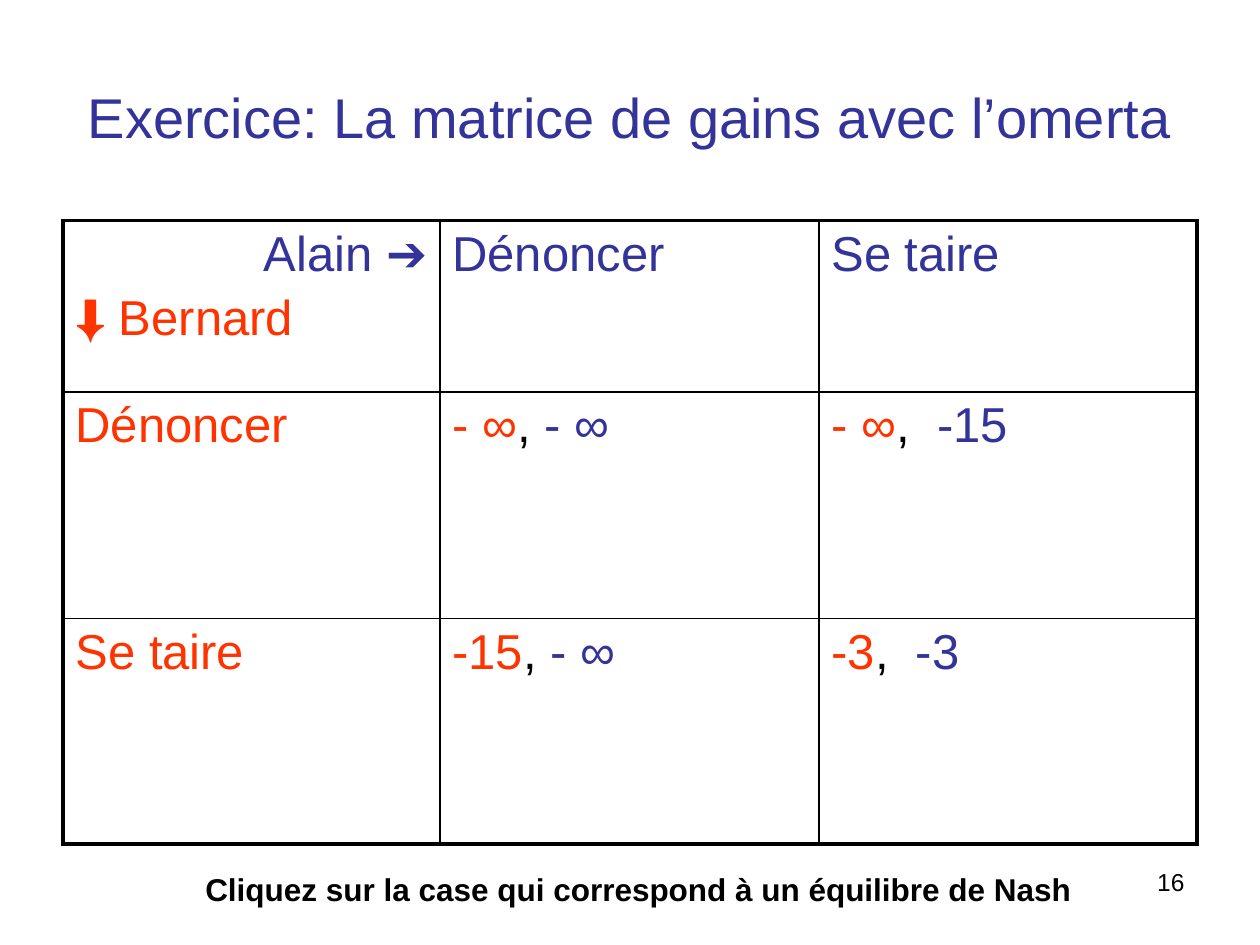
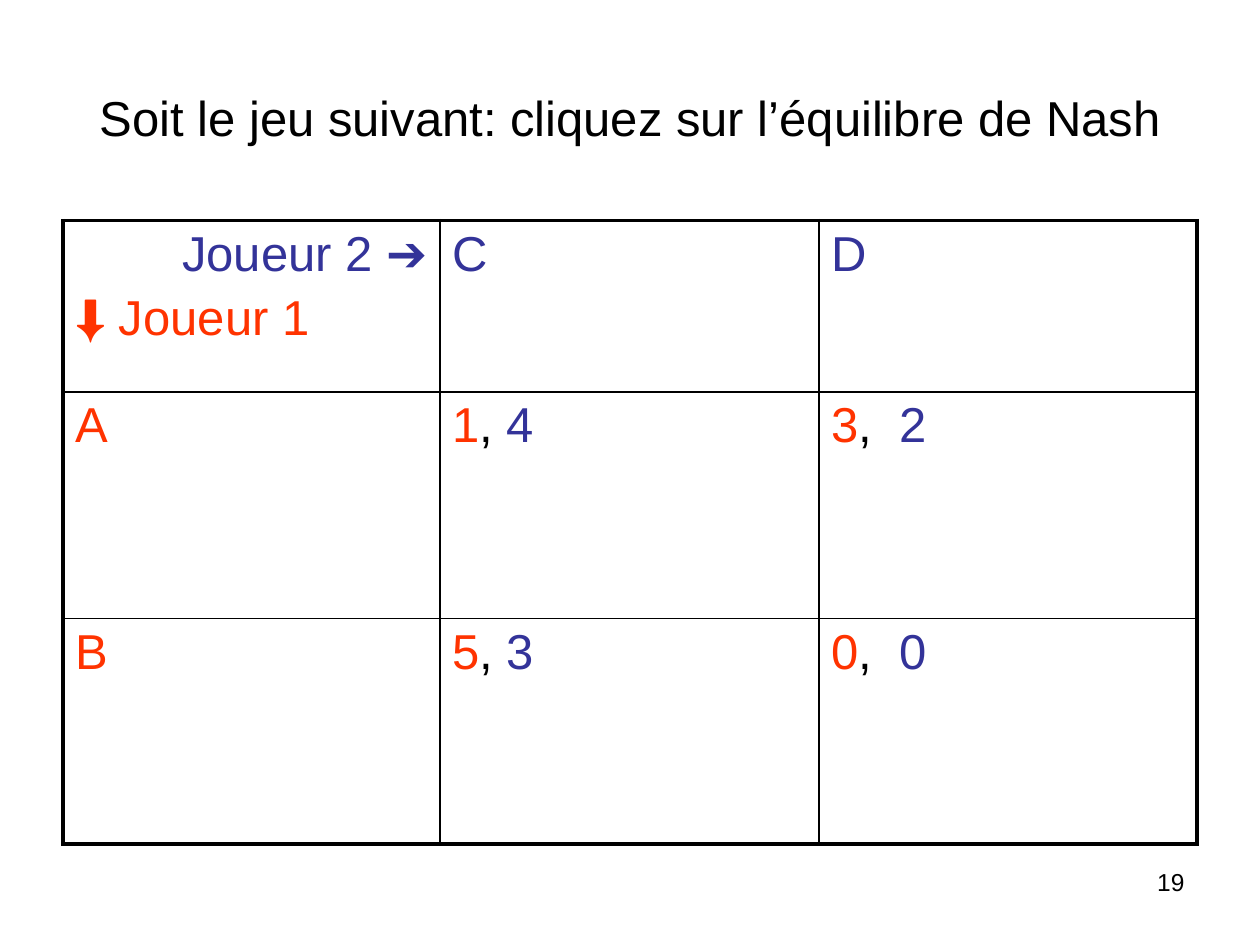
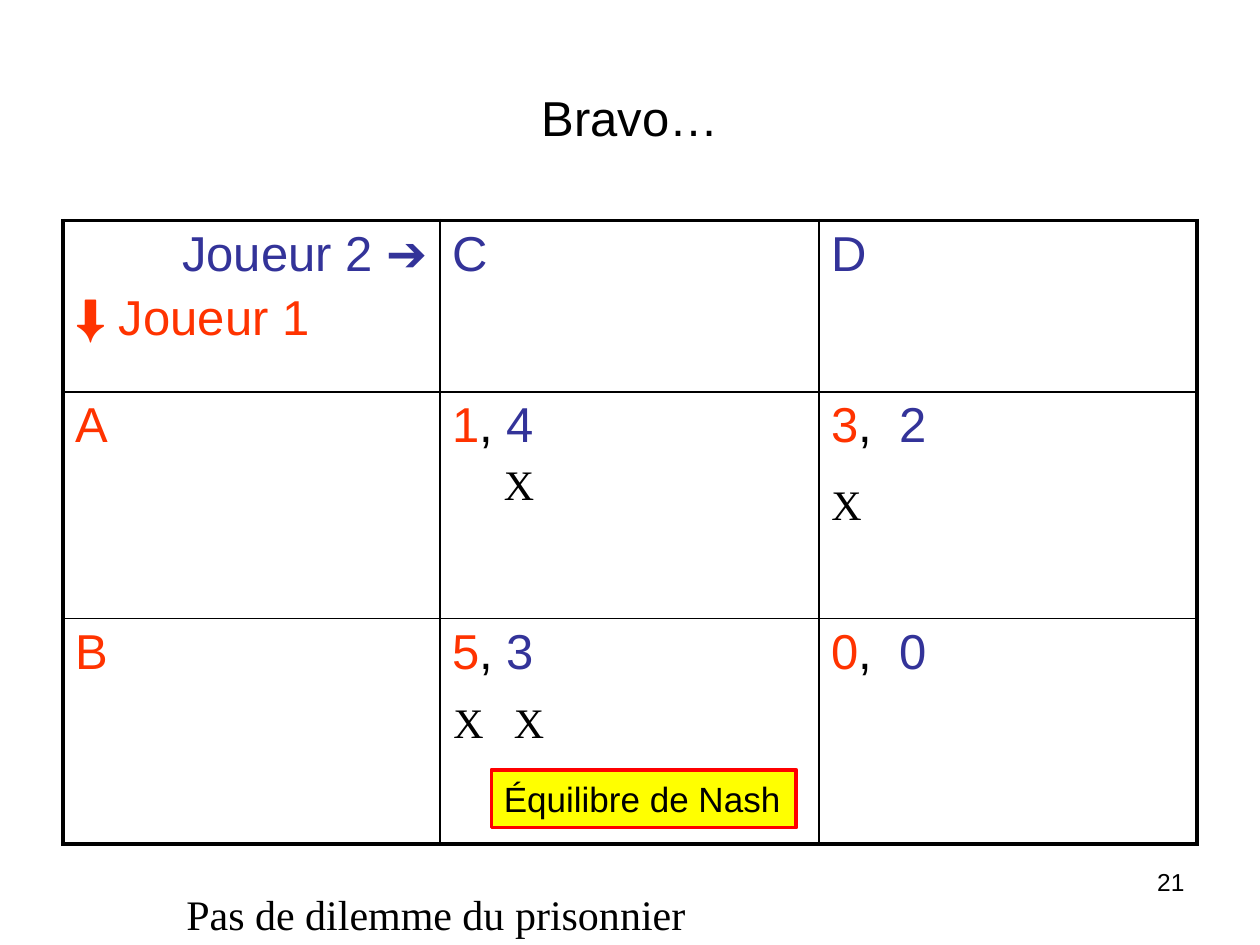
from dataclasses import dataclass

from lxml import etree
from pptx import Presentation
from pptx.dml.color import RGBColor
from pptx.enum.shapes import MSO_SHAPE
from pptx.enum.text import MSO_ANCHOR, MSO_AUTO_SIZE, PP_ALIGN
from pptx.oxml.ns import qn
from pptx.util import Pt

LEFT, CENTER, RIGHT = PP_ALIGN.LEFT, PP_ALIGN.CENTER, PP_ALIGN.RIGHT
MIDDLE = MSO_ANCHOR.MIDDLE
NO_FIT, FIT_SHAPE = MSO_AUTO_SIZE.NONE, MSO_AUTO_SIZE.SHAPE_TO_FIT_TEXT
RECTANGLE = MSO_SHAPE.RECTANGLE
TITLE_ONLY = 5


@dataclass(frozen=True)
class Theme:
    """Colours, fonts, type sizes and line widths of the deck."""
    ink: str = "000000"
    column_player: str = "333399"
    row_player: str = "FF3300"
    highlight: str = "FFFF00"
    highlight_edge: str = "FF0000"
    sans: str = "Arial"
    serif: str = "Times New Roman"
    exercise_title: int = 32
    body: int = 28
    mark: int = 24
    label: int = 20
    prompt: int = 18
    number: int = 14
    outer_rule: float = 2.25
    inner_rule: float = 1


THEME = Theme()
COLUMN_WIDTHS = (215.3, 216.7, 216)
ROW_HEIGHTS = (97.9, 129.6, 128.9)
WIDE_GAP = 3.9


def write(paragraph, text, *, size=THEME.body, color=THEME.ink, font=THEME.sans,
          bold=False, align=None, spacing=0):
    """Append formatted text to a paragraph."""
    run = paragraph.add_run()
    run.text = text
    run.font.size = Pt(size)
    run.font.name = font
    run.font.bold = bold
    run.font.color.rgb = RGBColor.from_string(color)
    if spacing:
        run.font._element.set("spc", str(round(spacing * 100)))
    if align is not None:
        paragraph.alignment = align


def space_before(paragraph, percent=20):
    """Set the space above a paragraph relative to its type size."""
    properties = paragraph._p.get_or_add_pPr()
    space = etree.SubElement(properties, qn("a:spcBef"))
    etree.SubElement(space, qn("a:spcPct"), val=str(percent * 1000))


def add_title(slide, text, *, size=THEME.body, color=THEME.ink):
    """Place and fill the slide title."""
    title = slide.shapes.title
    title.left, title.top, title.width, title.height = Pt(36), Pt(21.6), Pt(648), Pt(90)
    frame = title.text_frame
    frame.auto_size = NO_FIT
    frame.word_wrap = True
    frame.vertical_anchor = MIDDLE
    write(frame.paragraphs[0], text, size=size, color=color, align=CENTER)


def add_label(slide, text, left, top, width, height, *, wrap=False, fit=FIT_SHAPE, **style):
    """Add a free text box with one line of text."""
    box = slide.shapes.add_textbox(Pt(left), Pt(top), Pt(width), Pt(height))
    frame = box.text_frame
    frame.word_wrap = wrap
    frame.auto_size = fit
    write(frame.paragraphs[0], text, **style)


def add_badge(slide, text, left, top, width, height):
    """Add the highlighted label of the equilibrium."""
    badge = slide.shapes.add_shape(RECTANGLE, Pt(left), Pt(top), Pt(width), Pt(height))
    badge.shadow.inherit = False
    badge.fill.solid()
    badge.fill.fore_color.rgb = RGBColor.from_string(THEME.highlight)
    badge.line.color.rgb = RGBColor.from_string(THEME.highlight_edge)
    badge.line.width = Pt(2)
    frame = badge.text_frame
    frame.word_wrap = False
    frame.auto_size = FIT_SHAPE
    write(frame.paragraphs[0], text, size=THEME.label, align=LEFT)


def rule_cell(cell, row, column):
    """Draw cell borders, heavier on the outer edge of the matrix."""
    properties = cell._tc.get_or_add_tcPr()
    outer_sides = {
        "lnL": column == 0,
        "lnR": column == len(COLUMN_WIDTHS) - 1,
        "lnT": row == 0,
        "lnB": row == len(ROW_HEIGHTS) - 1,
    }
    for side, outer in outer_sides.items():
        width = THEME.outer_rule if outer else THEME.inner_rule
        border = etree.SubElement(properties, qn(f"a:{side}"), w=str(Pt(width)))
        fill = etree.SubElement(border, qn("a:solidFill"))
        etree.SubElement(fill, qn("a:srgbClr"), val=THEME.ink)
    cell.fill.background()


def write_corner(cell, row_player, column_player):
    """Name both players in the corner cell."""
    across = cell.text_frame.paragraphs[0]
    down = cell.text_frame.add_paragraph()
    write(across, f"{column_player} ", color=THEME.column_player, align=RIGHT)
    write(across, "➔", color=THEME.column_player, bold=True)
    write(down, "⬇", color=THEME.row_player, bold=True)
    write(down, f" {row_player}", color=THEME.row_player)


def write_payoffs(cell, payoffs, spacing):
    """Write the payoffs of the row player and the column player."""
    paragraph = cell.text_frame.paragraphs[0]
    row_payoff, column_payoff = payoffs
    write(paragraph, row_payoff, color=THEME.row_player)
    write(paragraph, ", ", spacing=spacing)
    write(paragraph, column_payoff, color=THEME.column_player)


def add_matrix(slide, players, row_moves, column_moves, payoffs):
    """Add the payoff matrix of a game with two players."""
    frame = slide.shapes.add_table(
        len(ROW_HEIGHTS), len(COLUMN_WIDTHS), Pt(36), Pt(126),
        Pt(sum(COLUMN_WIDTHS)), Pt(sum(ROW_HEIGHTS)))
    matrix = frame.table
    matrix.first_row = matrix.horz_banding = False
    for column, width in zip(matrix.columns, COLUMN_WIDTHS):
        column.width = Pt(width)
    for row, height in zip(matrix.rows, ROW_HEIGHTS):
        row.height = Pt(height)

    write_corner(matrix.cell(0, 0), *players)
    for c, move in enumerate(column_moves, 1):
        write(matrix.cell(0, c).text_frame.paragraphs[0], move, color=THEME.column_player)
    for r, (move, outcomes) in enumerate(zip(row_moves, payoffs), 1):
        write(matrix.cell(r, 0).text_frame.paragraphs[0], move, color=THEME.row_player)
        for c, outcome in enumerate(outcomes, 1):
            write_payoffs(matrix.cell(r, c), outcome, WIDE_GAP if c == 2 else 0)

    for r in range(len(ROW_HEIGHTS)):
        for c in range(len(COLUMN_WIDTHS)):
            cell = matrix.cell(r, c)
            rule_cell(cell, r, c)
            for paragraph in cell.text_frame.paragraphs:
                space_before(paragraph)


def add_game_slide(deck, number, title, game, **title_style):
    """Add a numbered slide with a title and a payoff matrix."""
    slide = deck.slides.add_slide(deck.slide_layouts[TITLE_ONLY])
    add_label(slide, str(number), 516.2, 491.8, 167.8, 37.4, wrap=True, fit=NO_FIT,
              size=THEME.number, align=RIGHT)
    add_title(slide, title, **title_style)
    add_matrix(slide, *game)
    return slide


def main():
    """Build the three slides and save them."""
    deck = Presentation()
    deck.slide_width, deck.slide_height = Pt(720), Pt(540)

    moves = ("Dénoncer", "Se taire")
    omerta = (("Bernard", "Alain"), moves, moves,
              ((("- ∞", "- ∞"), ("- ∞", "-15")),
               (("-15", "- ∞"), ("-3", "-3"))))
    game = (("Joueur 1", "Joueur 2"), ("A", "B"), ("C", "D"),
            ((("1", "4"), ("3", "2")),
             (("5", "3"), ("0", "0"))))

    exercise = add_game_slide(
        deck, 16, "Exercice: La matrice de gains avec l’omerta", omerta,
        size=THEME.exercise_title, color=THEME.column_player)
    add_label(exercise, "Cliquez sur la case qui correspond à un équilibre de Nash ",
              110.2, 493.9, 519.8, 28.8, size=THEME.prompt, bold=True)

    add_game_slide(deck, 19, "Soit le jeu suivant: cliquez sur l’équilibre de Nash", game)

    solution = add_game_slide(deck, 21, "Bravo…", game)
    add_badge(solution, "Équilibre de Nash", 280.8, 439.9, 174.2, 33.1)
    for left, top in ((280.8, 258.5), (468, 270), (252, 394.6), (286.6, 394.6)):
        add_label(solution, "X", left, top, 31.7, 36, size=THEME.mark, font=THEME.serif)
    add_label(solution, "Pas de dilemme du prisonnier", 99.4, 504, 299.5, 36,
              size=THEME.mark, font=THEME.serif)

    deck.save("out.pptx")


main()
